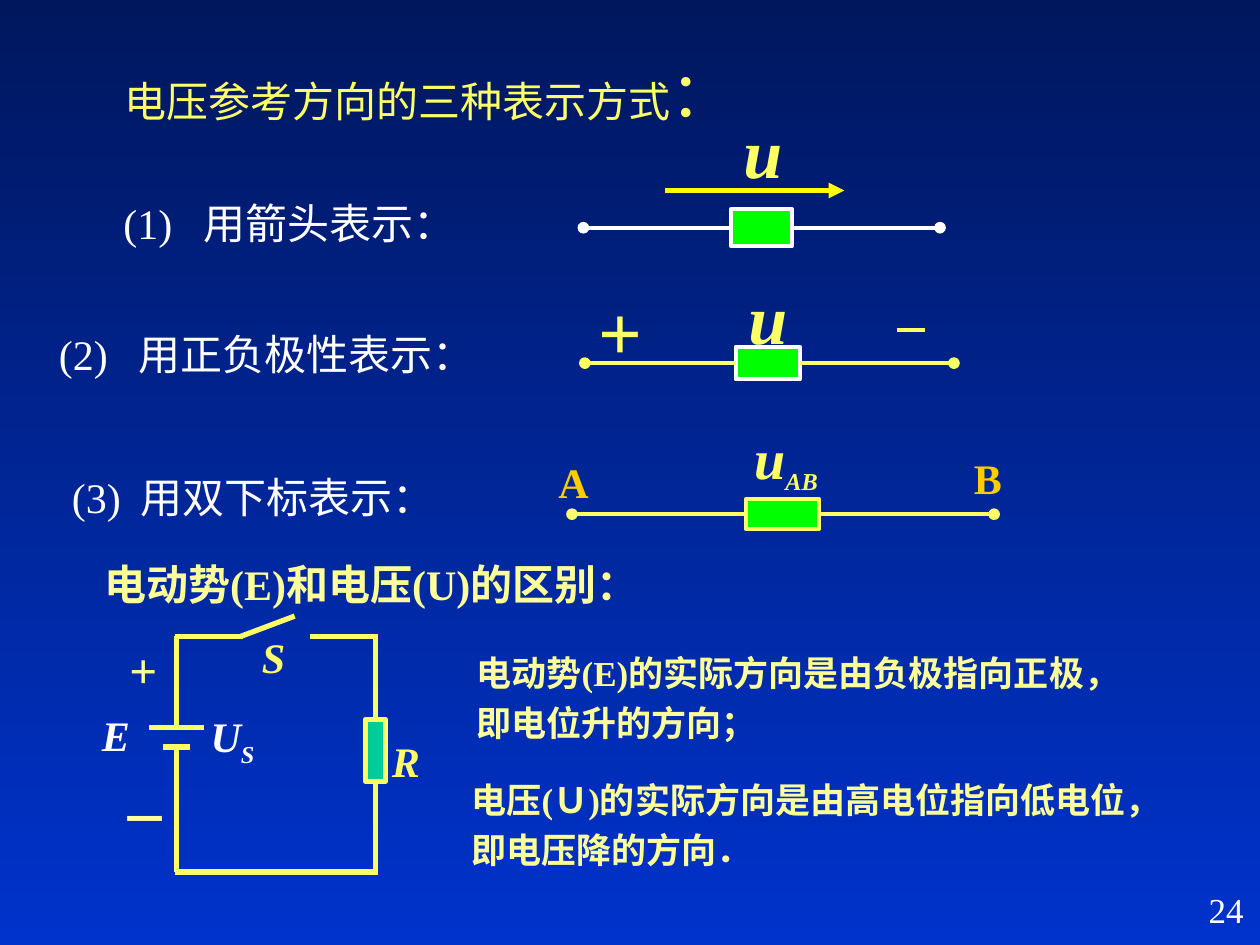
from lxml import etree
from pptx import Presentation
from pptx import util as u
from pptx.dml.color import RGBColor
from pptx.enum import shapes, text
from pptx.oxml.ns import qn

NAVY = RGBColor(0x00, 0x17, 0x5E)
BLUE = RGBColor(0x00, 0x33, 0xCC)
WHITE = RGBColor(0xFF, 0xFF, 0xFF)
YELLOW = RGBColor(0xFF, 0xFF, 0x66)
PALE = RGBColor(0xFF, 0xFF, 0x99)
BRIGHT = RGBColor(0xFF, 0xFF, 0x00)
GOLD = RGBColor(0xFF, 0xCC, 0x00)
GREEN = RGBColor(0x00, 0xFF, 0x00)
TEAL = RGBColor(0x00, 0xCC, 0x99)
FACE = "Times New Roman"
TOP, LEFT, BOTTOM, RIGHT = range(4)

HEADING = [("电压参考方向的三种表示方式", 24), ("：", 36)]
METHODS = [
    ("(1)\t用箭头表示：", 2.24, 3.86, 1.61),
    ("(2)\t用正负极性表示：", 0.94, 6.5, 1.61),
    ("(3)\t用双下标表示：", 1.2, 9.39, 1.39),
]
SUBHEADING = "电动势(E)和电压(U)的区别："
EXPLANATIONS = [
    ("电动势(E)的实际方向是由负极指向正极，即电位升的方向；", 0.1, 0),
    ("电压(Ｕ)的实际方向是由高电位指向低电位，即电压降的方向．", 0, 15),
]
BRANCHES = [
    ((14.73, 4.22, 1.24, 0.74), 11.76, 18.95, WHITE, WHITE),
    ((14.83, 6.99, 1.3, 0.66), 11.79, 19.23, WHITE, YELLOW),
    ((15.04, 10.06, 1.47, 0.61), 11.53, 20.04, YELLOW, YELLOW),
]
LABELS = [
    ("u", "", (14.73, 2.06, 1.3, 1.96), 40, YELLOW, True),
    ("u", "", (14.83, 5.41, 1.3, 1.96), 40, YELLOW, True),
    ("+", "", (11.81, 5.59, 1.4, 2.13), 44, YELLOW, False),
    ("A", "", (11, 9.07, 1.12, 1.27), 24, GOLD, False),
    ("B", "", (19.38, 8.99, 1.07, 1.27), 24, GOLD, False),
    ("u", "AB", (14.88, 8.41, 1.93, 1.7), 32, YELLOW, True),
    ("S", "", (5.03, 12.6, 0.97, 1.27), 24, YELLOW, True),
    ("U", "S", (3.99, 14.2, 1.4, 1.42), 24, WHITE, True),
    ("R", "", (7.65, 14.71, 1.07, 1.27), 24, YELLOW, True),
    ("E", "", (1.8, 14.17, 1.07, 1.27), 24, WHITE, True),
    ("+", "", (2.32, 12.76, 1.14, 1.45), 28, PALE, False),
    ("－", "", (2.18, 15.65, 1.14, 1.68), 28, PALE, False),
]
LOOP_LEFT, LOOP_RIGHT, LOOP_TOP, LOOP_BOTTOM = 3.56, 7.57, 12.83, 17.58
PLATE_TOP, PLATE_BOTTOM = 14.66, 15.06
LOOP_WIRES = [
    (LOOP_LEFT - 0.04, LOOP_TOP, 4.9, LOOP_TOP),
    (4.85, LOOP_TOP, 5.94, 12.42),
    (6.25, LOOP_TOP, LOOP_RIGHT + 0.04, LOOP_TOP),
    (LOOP_LEFT, LOOP_TOP, LOOP_LEFT, PLATE_TOP),
    (LOOP_LEFT - 0.55, PLATE_TOP, LOOP_LEFT + 0.55, PLATE_TOP),
    (LOOP_LEFT - 0.28, PLATE_BOTTOM, LOOP_LEFT + 0.28, PLATE_BOTTOM),
    (LOOP_LEFT, PLATE_BOTTOM, LOOP_LEFT, LOOP_BOTTOM),
    (LOOP_LEFT - 0.04, LOOP_BOTTOM, LOOP_RIGHT + 0.04, LOOP_BOTTOM),
]

deck = Presentation()
deck.slide_width, deck.slide_height = u.Cm(25.4), u.Cm(19.05)
slide = deck.slides.add_slide(deck.slide_layouts[1])


def lengths(values):
    return [u.Cm(value) for value in values]


def style(font, size, color, bold=False, italic=False):
    font.name, font.size, font.bold, font.italic = FACE, u.Pt(size), bold, italic
    font.color.rgb = color


def place(holder, box):
    holder.left, holder.top, holder.width, holder.height = lengths(box)
    holder.text_frame.auto_size = text.MSO_AUTO_SIZE.NONE
    return holder.text_frame


def write(content, box, size, color, bold=False, align=text.PP_ALIGN.LEFT, tab=None):
    frame = slide.shapes.add_textbox(*lengths(box)).text_frame
    frame.word_wrap = True
    line = frame.paragraphs[0]
    line.text, line.alignment = content, align
    if tab:
        stops = etree.SubElement(line._p.get_or_add_pPr(), qn("a:tabLst"))
        etree.SubElement(stops, qn("a:tab"), pos=str(u.Cm(tab)), algn="l")
    style(line.font, size, color, bold)
    return frame


def label(base, subscript, box, size, color, italic):
    frame = write(base, box, size, color, True, text.PP_ALIGN.CENTER)
    frame.word_wrap = False
    frame.vertical_anchor = text.MSO_ANCHOR.MIDDLE
    line = frame.paragraphs[0]
    line.font.italic = italic
    if subscript:
        lowered = line.add_run()
        lowered.text = subscript
        lowered.font.size = u.Pt(24)
        lowered._r.get_or_add_rPr().set("baseline", "-25000")


def component(box, fill, outline, weight=2.25):
    part = slide.shapes.add_shape(shapes.MSO_SHAPE.RECTANGLE, *lengths(box))
    part.shadow.inherit = False
    part.fill.solid()
    part.fill.fore_color.rgb = fill
    part.line.color.rgb, part.line.width = outline, u.Pt(weight)
    return part


def wire(ends, color, weight=3, tip=None, joined=None):
    link = slide.shapes.add_connector(shapes.MSO_CONNECTOR.STRAIGHT, *lengths(ends))
    link.line.color.rgb, link.line.width = color, u.Pt(weight)
    if tip:
        etree.SubElement(link.line._get_or_add_ln(), qn("a:tailEnd"), type=tip)
    etree.SubElement(link._element.spPr, qn("a:effectLst"))
    if joined:
        link.begin_connect(*joined)


backdrop = slide.background.fill
backdrop.gradient()
backdrop.gradient_angle = 270
for stop, color, position in zip(backdrop.gradient_stops, (NAVY, BLUE), (0, 1)):
    stop.color.rgb, stop.position = color, position

heading = place(slide.shapes.title, (1.62, 0.97, 12.78, 1.78))
heading.word_wrap = False
heading.vertical_anchor = text.MSO_ANCHOR.MIDDLE
for content, size in HEADING:
    run = heading.paragraphs[0].add_run()
    run.text = content
    style(run.font, size, YELLOW)

explanations = place(slide.placeholders[1], (9.25, 12.83, 14.25, 4.9))
for index, (content, indent, gap) in enumerate(EXPLANATIONS):
    line = explanations.add_paragraph() if index else explanations.paragraphs[0]
    line.text = content
    props = line._p.get_or_add_pPr()
    props.set("marL", str(u.Cm(indent)))
    props.set("indent", "0")
    etree.SubElement(props, qn("a:buNone"))
    line.line_spacing, line.space_before = 1.2, u.Pt(gap)
    style(line.font, 20, PALE, True)

for content, left, top, tab in METHODS:
    write(content, (left, top, 10, 1.27), 24, WHITE, tab=tab)
write(SUBHEADING, (1.85, 11.13, 12.73, 1.27), 24, PALE, True)
write("24", (20.04, 17.78, 5.28, 1.27), 20, WHITE, align=text.PP_ALIGN.RIGHT)

for box, start, end, outline, color in BRANCHES:
    resistor = component(box, GREEN, outline)
    left, top, width, height = box
    middle = top + height / 2
    wire((left, middle, start, middle), color, 2.25, "oval", (resistor, LEFT))
    wire((left + width, middle, end, middle), color, 2.25, "oval", (resistor, RIGHT))
wire((13.41, 3.84, 17.02, 3.84), BRIGHT, 3, "triangle")
wire((18.08, 6.65, 18.64, 6.65), YELLOW, 2.25)

for ends in LOOP_WIRES:
    wire(ends, YELLOW)
load = component((LOOP_RIGHT - 0.2, 14.5, 0.4, 1.25), TEAL, YELLOW, 3)
wire((LOOP_RIGHT, 14.5, LOOP_RIGHT, LOOP_TOP), YELLOW, joined=(load, TOP))
wire((LOOP_RIGHT, 15.75, LOOP_RIGHT, LOOP_BOTTOM), YELLOW, joined=(load, BOTTOM))

for entry in LABELS:
    label(*entry)

deck.save("out.pptx")
